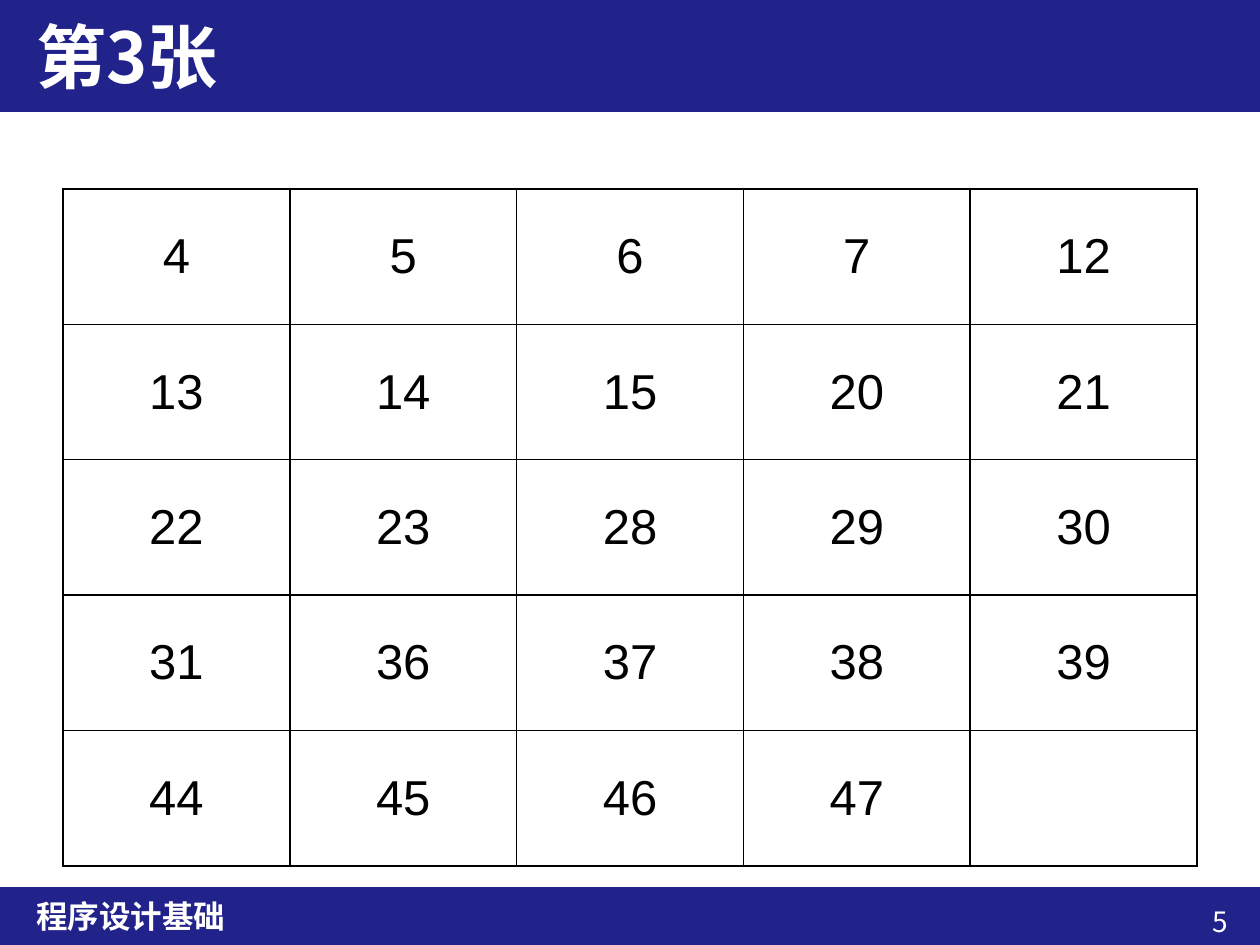
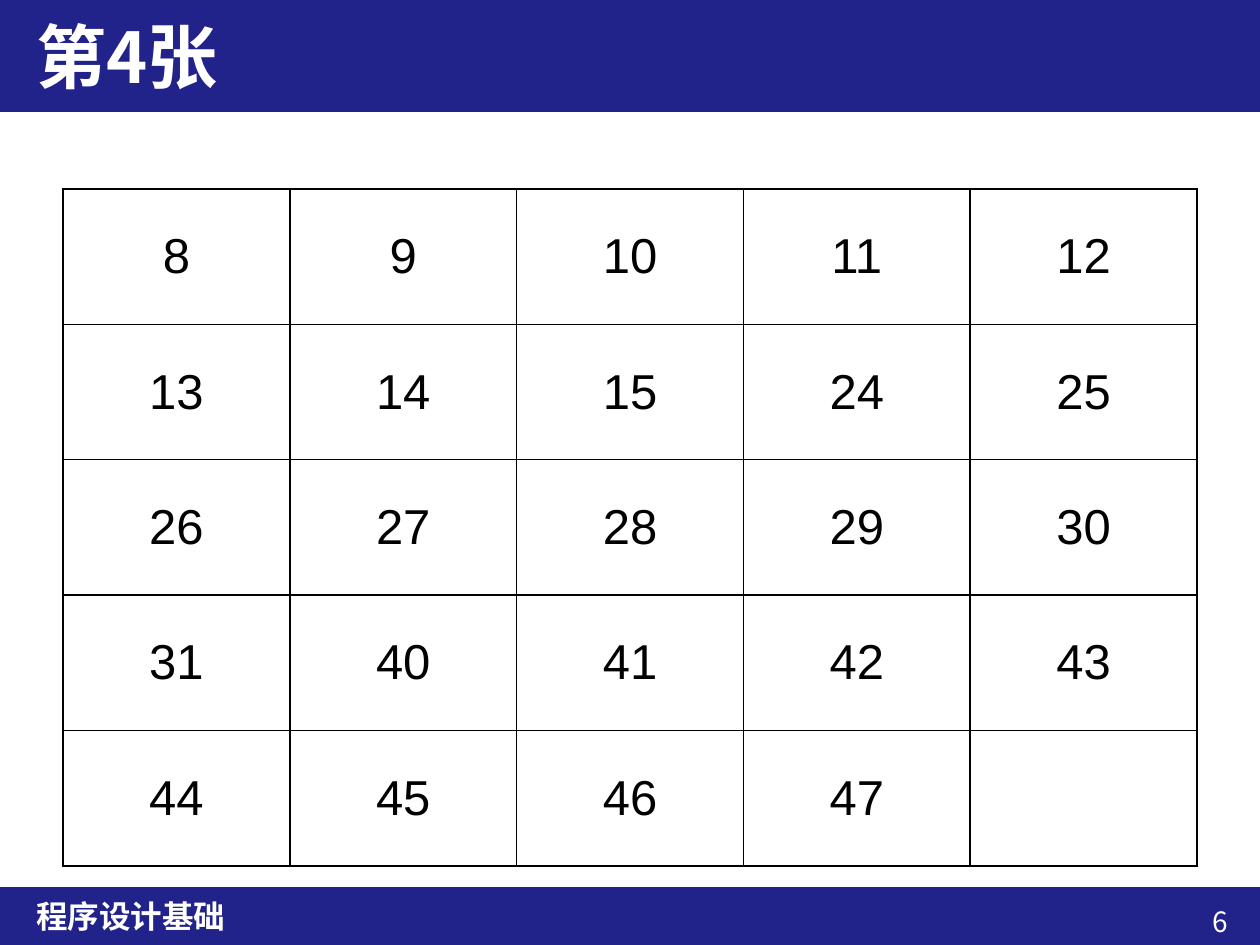
from lxml.etree import SubElement
from pptx import Presentation
from pptx.dml.color import RGBColor
from pptx.enum.shapes import MSO_SHAPE
from pptx.enum.text import MSO_ANCHOR, MSO_AUTO_SIZE, PP_ALIGN
from pptx.oxml import parse_xml
from pptx.oxml.ns import nsdecls, qn
from pptx.util import Emu, Pt

CARDS = [
    {"title": "第3张", "page": "5", "bit": 4},
    {"title": "第4张", "page": "6", "bit": 8},
]
COURSE = "程序设计基础"
LARGEST = 47
ROWS = COLUMNS = 5

NAVY, WHITE, BLACK = "22228B", "FFFFFF", "000000"
HEADING_FONT, NUMBER_FONT = "Noto Sans CJK SC", "Arial"

PIXELS_PER_INCH = 126
SLIDE_SIZE = (1260, 945)
HEADER_BAND = (-1, 0, 1261, 112)
FOOTER_BAND = (-1, 887, 1261, 58)
TITLE_BOX = (24, 0, 1210, 112)
COURSE_BOX = (24, 887, 1210, 58)
PAGE_BOX = (1082, 898, 158, 47)
GRID_BOX = (63, 189, 1134, 677)


def color(value):
    """Turn a hex string into a colour."""
    return RGBColor.from_string(value)


def emu(pixels):
    """Turn pixels into EMU."""
    return Emu(round(pixels * 914400 / PIXELS_PER_INCH))


def place(box):
    """Turn a pixel box into left, top, width and height."""
    return [emu(length) for length in box]


def write(frame, text, size, font, ink, bold=False, align=PP_ALIGN.LEFT):
    """Write one formatted paragraph into a text frame."""
    frame.text = text
    paragraph = frame.paragraphs[0]
    paragraph.alignment = align
    paragraph.font.size = Pt(size)
    paragraph.font.name = font
    paragraph.font.bold = bold
    paragraph.font.color.rgb = color(ink)
    for run in paragraph.runs:
        properties = run.font
        properties.name = font
        SubElement(run._r.get_or_add_rPr(), qn("a:ea"), typeface=font)


def add_band(slide, box):
    """Add a navy band behind everything else on the slide."""
    band = slide.shapes.add_shape(MSO_SHAPE.RECTANGLE, *place(box))
    band.shadow.inherit = False
    band.fill.solid()
    band.fill.fore_color.rgb = color(NAVY)
    band.line.fill.background()
    slide.shapes.element.insert(2, band.element)


def add_label(slide, box, text, size, anchor, **style):
    """Add white text on a band."""
    frame = slide.shapes.add_textbox(*place(box)).text_frame
    frame.word_wrap = True
    frame.vertical_anchor = anchor
    write(frame, text, size, HEADING_FONT, WHITE, **style)


def set_title(slide, text):
    """Move and format the title placeholder."""
    title = slide.shapes.title
    title.left, title.top, title.width, title.height = place(TITLE_BOX)
    title.text_frame.auto_size = MSO_AUTO_SIZE.NONE
    title.text_frame.vertical_anchor = MSO_ANCHOR.MIDDLE
    write(title.text_frame, text, 40, HEADING_FONT, WHITE, bold=True)


def add_borders(cell):
    """Draw a thin black line on every side of a cell."""
    properties = cell._tc.get_or_add_tcPr()
    for position, side in enumerate("LRTB"):
        line = parse_xml(
            f'<a:ln{side} {nsdecls("a")} w="{Pt(1)}"><a:solidFill>'
            f'<a:srgbClr val="{BLACK}"/></a:solidFill></a:ln{side}>'
        )
        properties.insert(position, line)


def add_number_grid(slide, bit):
    """Add the numbers whose binary form contains the given bit."""
    numbers = [number for number in range(1, LARGEST + 1) if number & bit]
    table = slide.shapes.add_table(ROWS, COLUMNS, *place(GRID_BOX)).table
    table.first_row = False
    table.horz_banding = False
    for index, cell in enumerate(table.iter_cells()):
        cell.fill.background()
        cell.vertical_anchor = MSO_ANCHOR.MIDDLE
        add_borders(cell)
        if index < len(numbers):
            write(cell.text_frame, str(numbers[index]), 28, NUMBER_FONT, BLACK,
                  align=PP_ALIGN.CENTER)


def add_card(presentation, card):
    """Add one number card slide."""
    slide = presentation.slides.add_slide(presentation.slide_layouts[5])
    add_band(slide, HEADER_BAND)
    add_band(slide, FOOTER_BAND)
    set_title(slide, card["title"])
    add_label(slide, PAGE_BOX, card["page"], 16, MSO_ANCHOR.TOP, align=PP_ALIGN.RIGHT)
    add_label(slide, COURSE_BOX, COURSE, 18, MSO_ANCHOR.MIDDLE, bold=True)
    add_number_grid(slide, card["bit"])


def main():
    """Build and save the presentation."""
    presentation = Presentation()
    presentation.slide_width, presentation.slide_height = place(SLIDE_SIZE)
    for card in CARDS:
        add_card(presentation, card)
    presentation.save("out.pptx")


main()
